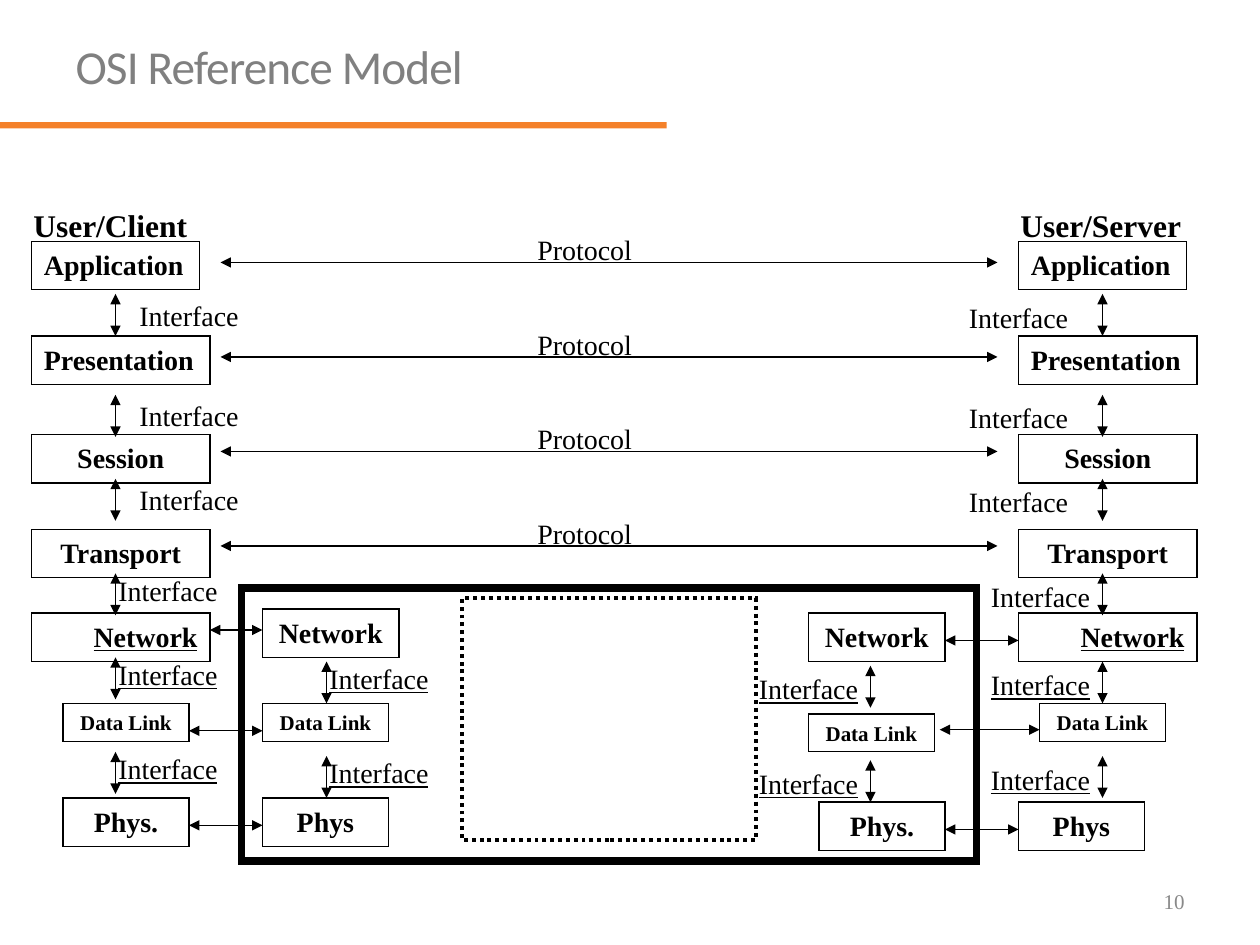
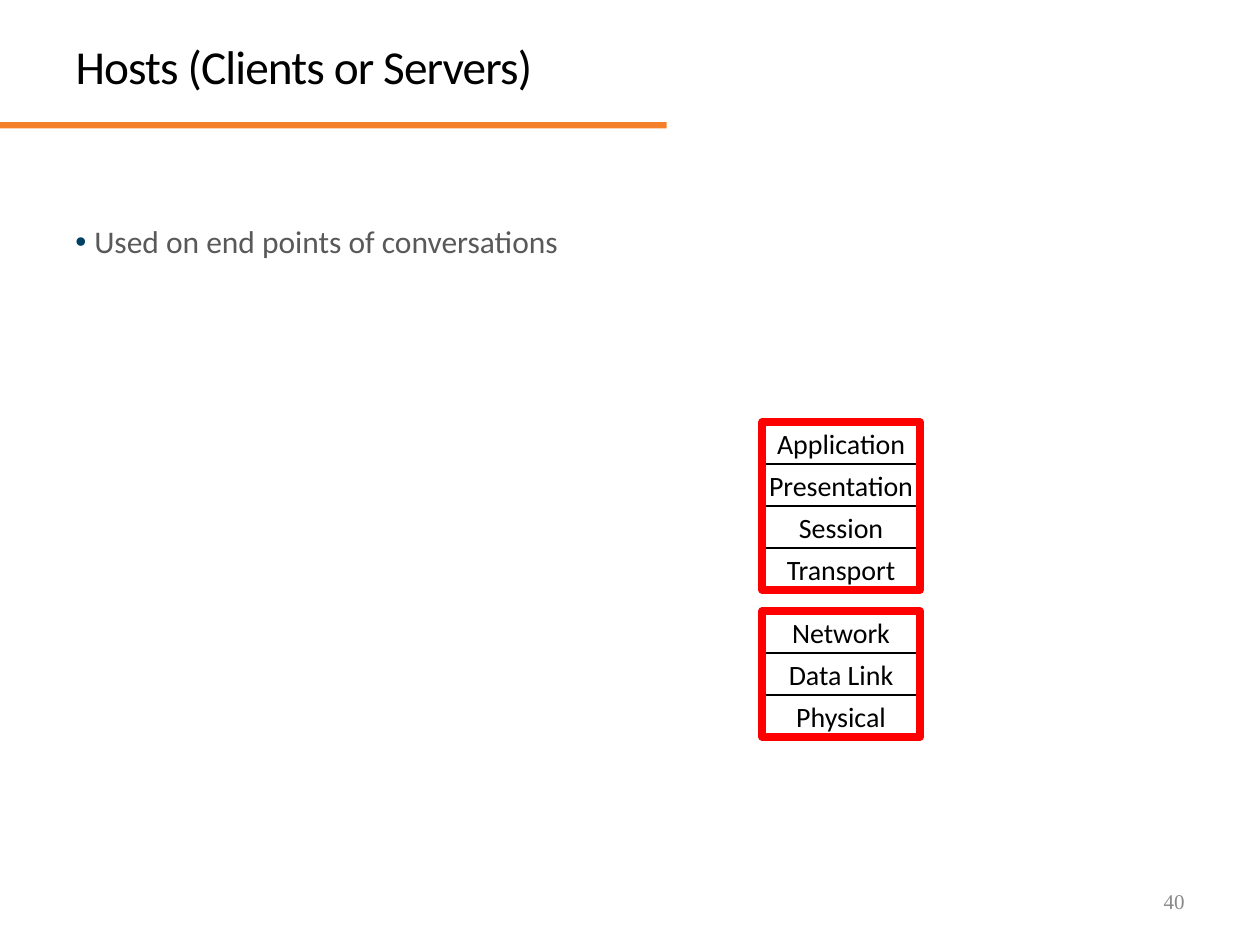
from lxml import etree
from pptx import Presentation
from pptx import util as u
from pptx.dml.color import RGBColor
from pptx.enum import dml, shapes, text
from pptx.oxml import ns

HUES = {"ink": "000000", "title": "808080", "body": "595959", "dot": "004065",
        "band": "F4812A", "page": "898989", "frame": "FF0000"}
SERIF, SANS = "Times New Roman", "Calibri"
COLS, ROWS = 120, 90
LEFT, MID, RIGHT = text.PP_ALIGN.LEFT, text.PP_ALIGN.CENTER, text.PP_ALIGN.RIGHT
TOP, CENTER = text.MSO_ANCHOR.TOP, text.MSO_ANCHOR.MIDDLE


def hue(name):
    return RGBColor.from_string(HUES[name])


def node(parent, tag, **attrs):
    return etree.SubElement(parent, ns.qn(tag), attrs)


class Deck:
    def __init__(self):
        self.prs = Presentation()
        self.prs.slide_width, self.prs.slide_height = u.Inches(10), u.Inches(7.5)
        self.slide = None

    def x(self, cols):
        return round(self.prs.slide_width * cols / COLS)

    def y(self, rows):
        return round(self.prs.slide_height * rows / ROWS)

    def area(self, x, y, w, h):
        return self.x(x), self.y(y), self.x(w), self.y(h)

    def page(self, title, number, color):
        """Start a slide with its title, band and page number."""
        self.slide = self.prs.slides.add_slide(self.prs.slide_layouts[5])
        band = self.rect(0, 11.64, 63.5, 0.6, width=0)
        band.fill.solid()
        band.fill.fore_color.rgb = hue("band")
        head = self.slide.shapes.title
        head.left, head.top, head.width, head.height = self.area(6, 3.6, 108, 8)
        self.put(head, title, 27, color, SANS, wrap=True)
        para = head.text_frame.paragraphs[0]
        para.line_spacing = 0.9
        para.runs[0]._r.get_or_add_rPr().set("spc", "-50")
        self.label(number, 86, 83.4, 28, 4.8, size=12, color="page",
                   align=RIGHT, anchor=CENTER, wrap=True)

    def put(self, shape, words, size=16, color="ink", font=SERIF, bold=False,
            under=False, align=LEFT, anchor=TOP, wrap=False):
        """Set and format the text of a shape."""
        frame = shape.text_frame
        frame.text = words
        frame.word_wrap = wrap
        frame.auto_size = text.MSO_AUTO_SIZE.NONE
        frame.vertical_anchor = anchor
        para = frame.paragraphs[0]
        para.alignment = align
        face = para.runs[0].font
        face.name, face.size, face.bold, face.underline = font, u.Pt(size), bold, under
        face.color.rgb = hue(color)

    def label(self, words, x, y, w, h=4.4, **style):
        box = self.slide.shapes.add_textbox(*self.area(x, y, w, h))
        self.put(box, words, **style)
        return box

    def rect(self, x, y, w, h, width=0.75, color="ink", dash=None, sharp=True):
        """Add an unfilled rectangle; a width of zero means no outline."""
        box = self.slide.shapes.add_shape(shapes.MSO_SHAPE.RECTANGLE,
                                          *self.area(x, y, w, h))
        box.shadow.inherit = False
        box.fill.background()
        if not width:
            box.line.fill.background()
            return box
        box.line.color.rgb = hue(color)
        box.line.width = u.Pt(width)
        if dash:
            box.line.dash_style = dash
        ln = box.line._get_or_add_ln()
        if sharp:
            node(ln, "a:miter", lim="800000")
        else:
            node(ln, "a:round")
        return box

    def layer(self, words, x, y, w, h=4.6, **style):
        style = {"bold": True, "align": MID, "wrap": True, **style}
        self.put(self.rect(x, y, w, h), words, **style)

    def arrow(self, x1, y1, x2, y2):
        """Add a line with an arrowhead at both ends."""
        line = self.slide.shapes.add_connector(
            shapes.MSO_CONNECTOR.STRAIGHT, self.x(x1), self.y(y1), self.x(x2), self.y(y2))
        line.line.color.rgb = hue("ink")
        line.line.width = u.Pt(0.75)
        ln = line.line._get_or_add_ln()
        for end in ("a:headEnd", "a:tailEnd"):
            node(ln, end, type="triangle")
        node(line._element.spPr, "a:effectLst")

    def link(self, x, y, dx, dy, **style):
        """Add an upright arrow with its Interface label."""
        self.arrow(x, y, x, y + 4)
        self.label("Interface", x + dx, y + dy, 11.9, **style)

    def bullet(self, words, x, y, w, h):
        box = self.label(words, x, y, w, h, size=18, color="body", font=SANS, wrap=True)
        para = box.text_frame.paragraphs[0]
        para.line_spacing = 0.9
        props = para._p.get_or_add_pPr()
        props.set("marL", str(u.Inches(0.15)))
        props.set("indent", str(-u.Inches(0.15)))
        node(node(props, "a:buClr"), "a:srgbClr", val=HUES["dot"])
        node(props, "a:buFont", typeface="Arial")
        node(props, "a:buChar", char="•")

    def stack(self, names, x, y, w, step):
        """Add a column of cells inside a red frame."""
        for i, name in enumerate(names):
            self.layer(name, x, y + i * step, w, step, font=SANS, bold=False,
                       anchor=CENTER, wrap=False)
        self.rect(x, y, w, len(names) * step, 4.5, "frame", sharp=False)


def model(deck):
    deck.page("OSI Reference Model", "10", "title")

    # Upper layers of both hosts
    upper = [("Application", 23, 16, LEFT, False),
             ("Presentation", 32, 17, LEFT, False),
             ("Session", 41.4, 17, MID, False),
             ("Transport", 50.4, 17, MID, False),
             ("Network", 58.4, 17, RIGHT, True)]
    for host, x in (("User/Client", 3), ("User/Server", 97)):
        deck.label(host, x - 1, 19, 17.5, 4.8, size=18, bold=True)
        for name, y, w, align, under in upper:
            deck.layer(name, x, y, w, align=align, under=under)
    for y in (28, 37.6, 45.6):
        deck.link(11, y, 1.1, -0.2)
        deck.link(105, y, -13.9, 0)
    deck.link(11, 54.6, -1, -0.6, align=RIGHT)
    deck.link(105, 54.6, -11.9, 0, align=RIGHT)

    # Protocols between the hosts
    for y in range(25, 53, 9):
        deck.arrow(21, y, 95, y)
        deck.label("Protocol", 50, y - 3.4, 11.5)

    # Subnet
    deck.rect(23, 56, 70, 26, 4.5)
    deck.rect(44, 57, 28, 23, 2.25, dash=dml.MSO_LINE.ROUND_DOT)

    # Lower layers of hosts and routers
    for x, y in ((25, 58), (77, 58.4)):
        deck.layer("Network", x, y, 13)
    for x, y in ((6, 67), (25, 67), (77, 68), (99, 67)):
        deck.layer("Data Link", x, y, 12, 3.6, size=12)
    for name, x, y in (("Phys.", 6, 76), ("Phys", 25, 76),
                       ("Phys.", 78, 76.4), ("Phys", 97, 76.4)):
        deck.layer(name, x, y, 12)
    for x, y, dx, dy in ((11, 62.6, -1, -0.6), (31.1, 63, -1, -0.6),
                         (82.9, 63.4, -11.9, 0), (105, 63, -11.9, 0)):
        for drop in (0, 9):
            deck.link(x, y + drop, dx, dy, align=RIGHT, under=True)

    # Links between hosts and routers
    for x1, x2, y in ((20, 25, 60), (18, 25, 69.6), (18, 25, 78.6),
                      (90, 97, 61), (89.5, 99, 69.5), (90, 97, 79)):
        deck.arrow(x1, y, x2, y)


def hosts(deck):
    deck.page("Hosts (Clients or Servers)", "40", "ink")
    deck.bullet("Used on end points of conversations", 6, 21, 108, 14)
    deck.stack(("Network", "Data Link", "Physical"), 72.6, 58.2, 15, 4)
    deck.stack(("Application", "Presentation", "Session", "Transport"), 72.6, 40.2, 15, 4)


def main():
    deck = Deck()
    model(deck)
    hosts(deck)
    deck.prs.save("out.pptx")


if __name__ == "__main__":
    main()
